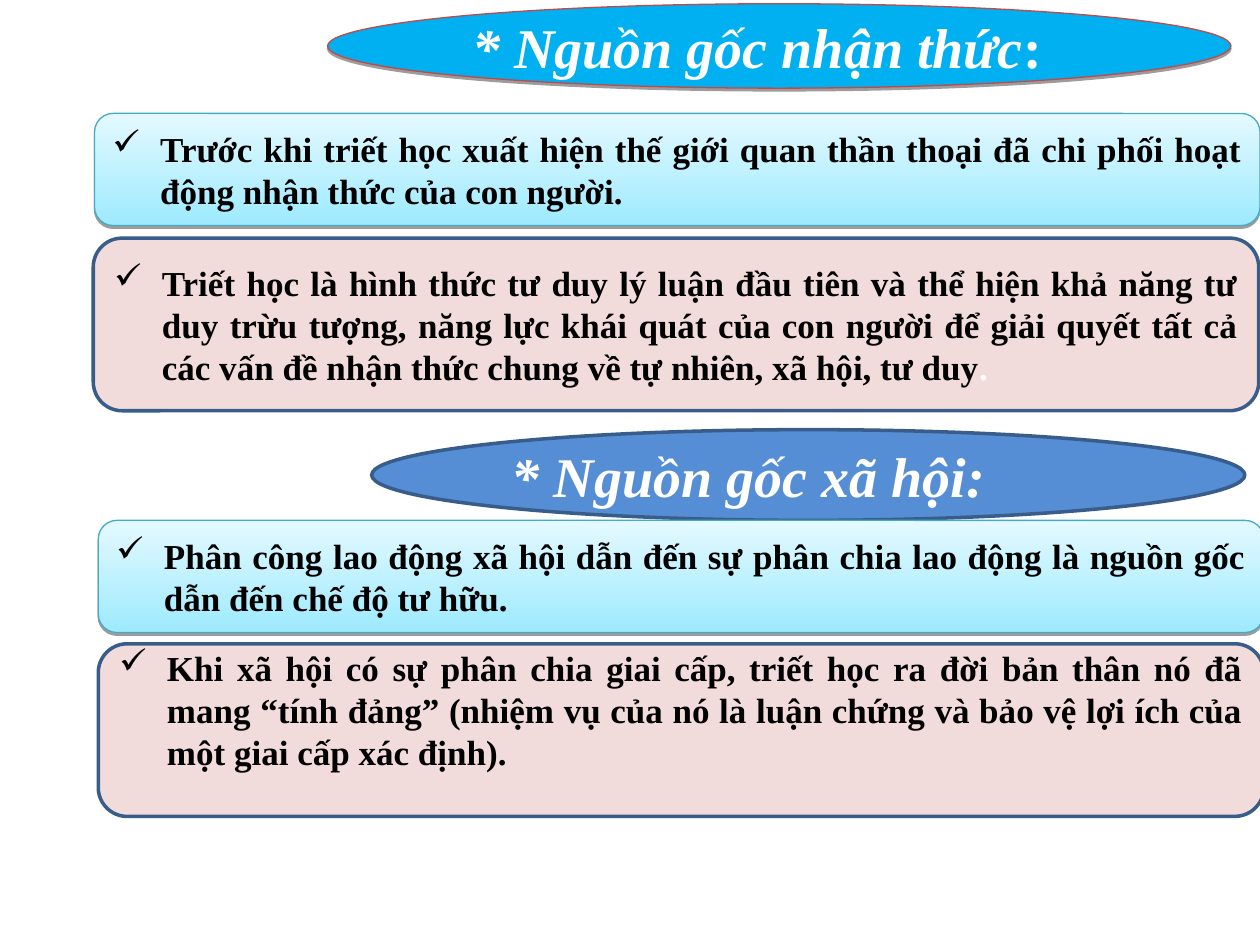
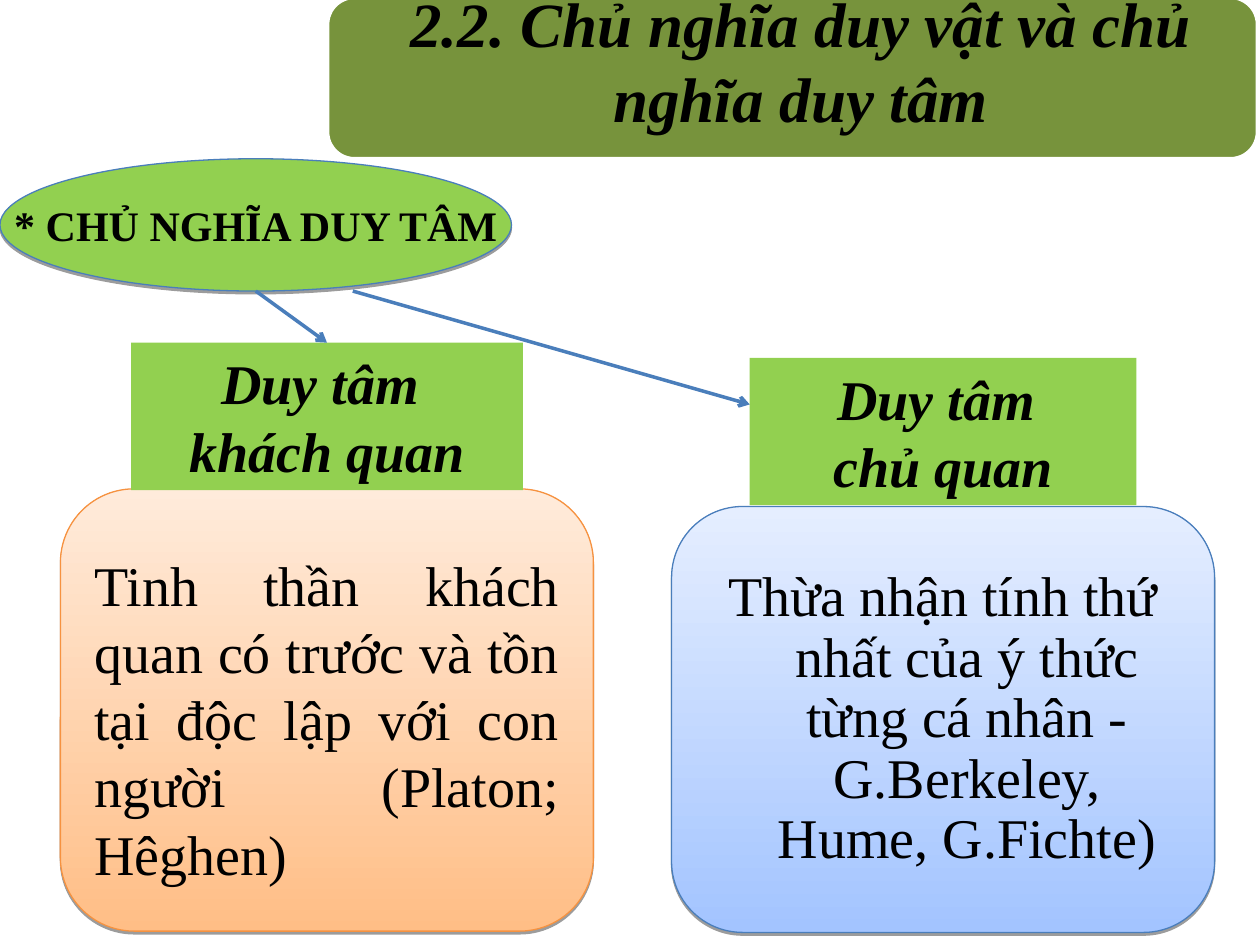
from lxml.etree import SubElement
from pptx import Presentation
from pptx.dml.color import RGBColor
from pptx.enum.shapes import MSO_CONNECTOR, MSO_SHAPE as Preset
from pptx.enum.text import MSO_ANCHOR as Anchor, MSO_AUTO_SIZE as AutoSize, PP_ALIGN as Align
from pptx.oxml import parse_xml
from pptx.oxml.ns import nsdecls, qn
from pptx.util import Inches, Pt

FONT = "Times New Roman"
BLACK, WHITE, GREEN = "000000", "FFFFFF", "92D050"
NAVY, BLUE = "385D8A", "4A7EBB"
rgb = RGBColor.from_string

FRAME = {"word_wrap": True, "auto_size": AutoSize.NONE, "vertical_anchor": Anchor.MIDDLE,
         "margin_left": Inches(0.1), "margin_right": Inches(0.1),
         "margin_top": Inches(0.05), "margin_bottom": Inches(0.05)}
SHADOW = (f'<a:effectLst {nsdecls("a")}><a:outerShdw blurRad="0" dist="20000" dir="5400000" '
          'rotWithShape="0"><a:srgbClr val="000000"><a:alpha val="38000"/></a:srgbClr>'
          '</a:outerShdw></a:effectLst>')


def add_box(slide, preset, place, fill, line=None, line_width=0.75, shadow=False):
    """Add a shape; a pair of fill colours makes a gradient from bottom to top."""
    box = slide.shapes.add_shape(preset, *map(Inches, place))
    if isinstance(fill, tuple):
        box.fill.gradient()
        box.fill.gradient_angle = 90
        for stop, colour in zip(box.fill.gradient_stops, fill):
            stop.color.rgb = rgb(colour)
    else:
        box.fill.solid()
        box.fill.fore_color.rgb = rgb(fill)
    if line:
        box.line.color.rgb = rgb(line)
        box.line.width = Pt(line_width)
    else:
        box.line.fill.background()
    box.shadow.inherit = False
    if shadow:
        properties = box.element.spPr
        properties.replace(properties.find(qn("a:effectLst")), parse_xml(SHADOW))
    return box


def write(shape, paragraphs, size, colour=BLACK, align=Align.CENTER, bold=False,
          italic=False, hanging=False, bullet=None, spacing=None, **frame_values):
    """Fill a shape with paragraphs, each a list of (text, font changes) runs."""
    frame = shape.text_frame
    for name, value in {**FRAME, **frame_values}.items():
        setattr(frame, name, value)
    for index, runs in enumerate(paragraphs):
        paragraph = frame.add_paragraph() if index else frame.paragraphs[0]
        paragraph.alignment = align
        paragraph.line_spacing = spacing
        properties = paragraph._p.get_or_add_pPr()
        if hanging:
            properties.set("marL", str(Inches(0.38)))
            properties.set("indent", str(-Inches(0.38)))
        if bullet:
            bullet_colour = SubElement(properties, qn("a:buClr"))
            SubElement(bullet_colour, qn("a:srgbClr"), val=BLACK)
            SubElement(properties, qn("a:buChar"), char=bullet)
        for text, changes in runs:
            run = paragraph.add_run()
            run.text = text
            look = {"name": FONT, "size": Pt(size), "bold": bold, "italic": italic,
                    "colour": colour, **changes}
            run.font.color.rgb = rgb(look.pop("colour"))
            for name, value in look.items():
                setattr(run.font, name, value)


deck = Presentation()
deck.slide_width, deck.slide_height = Inches(10), Inches(7.5)
TITLE_ONLY, BLANK = deck.slide_layouts[5], deck.slide_layouts[6]

# Slide 1: origins of philosophy
origins = deck.slides.add_slide(BLANK)

headings = [
    ((2.6, 0.03, 7.17, 0.67), {"fill": "00B0F0", "line": "BE4B48", "shadow": True},
     [("* Nguồn gốc nhận thức", {}), (":", {"italic": False})]),
    ((2.95, 3.41, 6.93, 0.72), {"fill": "558ED5", "line": NAVY, "line_width": 2},
     [("* Nguồn gốc xã hội:", {})]),
]
for place, look, runs in headings:
    heading = add_box(origins, Preset.OVAL, place, **look)
    write(heading, [runs], 32, WHITE, Align.LEFT, bold=True, italic=True)

CYAN_LOOK = {"fill": ("9EEAFF", "E4F9FF"), "line": "46AAC5", "shadow": True}
PINK_LOOK = {"fill": "F2DCDB", "line": NAVY, "line_width": 2}
points = [
    ((0.75, 0.9, 9.25, 0.89), CYAN_LOOK, 0.05,
     [("Trước khi triết học xuất hiện thế giới quan thần thoại đã chi phối hoạt động "
       "nhận thức của con người.", {})]),
    ((0.74, 1.89, 9.25, 1.37), PINK_LOOK, 0.05,
     [("Triết học là hình thức tư duy lý luận đầu tiên và thể hiện khả năng tư duy trừu "
       "tượng, năng lực khái quát của con người để giải quyết tất cả các vấn đề nhận thức "
       "chung về tự nhiên, xã hội, tư duy", {}), (".", {"colour": WHITE})]),
    ((0.78, 4.13, 9.25, 0.89), CYAN_LOOK, 0.05,
     [("Phân công lao động xã hội dẫn đến sự phân chia lao động là nguồn gốc dẫn đến chế "
       "độ tư hữu.", {})]),
    ((0.78, 5.11, 9.25, 1.37), PINK_LOOK, 0.38,
     [("Khi xã hội có sự phân chia giai cấp, triết học ra đời bản thân nó đã mang “tính "
       "đảng” (nhiệm vụ của nó là luận chứng và bảo vệ lợi ích của một giai cấp xác "
       "định).", {})]),
]
for place, look, bottom, runs in points:
    point = add_box(origins, Preset.ROUNDED_RECTANGLE, place, **look)
    write(point, [runs], 20, align=Align.JUSTIFY, bold=True, hanging=True, bullet="✓",
          margin_bottom=Inches(bottom))

# Slide 2: two kinds of idealism
idealism = deck.slides.add_slide(TITLE_ONLY)

banner = add_box(idealism, Preset.ROUNDED_RECTANGLE, (2.6, -0.02, 7.38, 1.28), "77933C", WHITE, 2)
title = idealism.shapes.title
title.left, title.top, title.width, title.height = map(Inches, (2.6, -0.1, 7.51, 1.15))
write(title, [[("2.2. Chủ nghĩa duy vật và chủ nghĩa duy tâm", {})]], 36, bold=True, italic=True,
      margin_left=Inches(0.24), margin_right=Inches(0.24), margin_top=0, margin_bottom=0)
banner.element.addnext(title.element)

root = add_box(idealism, Preset.OVAL, (0, 1.26, 4.06, 1.05), GREEN, BLUE, shadow=True)
write(root, [[("* CHỦ NGHĨA DUY TÂM", {})]], 24, bold=True, word_wrap=False)

branches = [
    ("khách quan", (1.04, 2.72, 3.11, 1.17), (0.48, 3.88, 4.23, 3.51),
     ("FFBE86", "FFEBDB"), "F69240",
     "Tinh thần khách quan có trước và tồn tại độc lập với con người (Platon; Hêghen)",
     {"align": Align.JUSTIFY, "margin_top": Inches(0.18)}),
    ("chủ quan", (5.95, 2.84, 3.07, 1.17), (5.33, 4.02, 4.31, 3.38),
     ("A3C4FF", "E5EEFF"), BLUE,
     "Thừa nhận tính thứ nhất của ý thức từng cá nhân - G.Berkeley, Hume, G.Fichte)",
     {"hanging": True, "spacing": 0.9}),
]
labels = []
for kind, label_place, view_place, fill, line, text, layout in branches:
    view = add_box(idealism, Preset.ROUNDED_RECTANGLE, view_place, fill, line, shadow=True)
    write(view, [[(text, {})]], 32, **layout)
    label = add_box(idealism, Preset.RECTANGLE, label_place, GREEN)
    write(label, [[("Duy tâm ", {})], [(kind, {})]], 32, bold=True, italic=True,
          vertical_anchor=Anchor.TOP)
    labels.append(label)

arrows = []
for ends in ((2.03, 2.31, 2.6, 2.72), (2.8, 2.31, 5.95, 3.21)):
    arrow = idealism.shapes.add_connector(MSO_CONNECTOR.STRAIGHT, *map(Inches, ends))
    arrow.line.color.rgb = rgb(BLUE)
    arrow.line.width = Pt(2)
    SubElement(arrow.line._get_or_add_ln(), qn("a:tailEnd"), type="arrow")
    SubElement(arrow.element.spPr, qn("a:effectLst"))
    arrows.append(arrow)
arrows[0].end_connect(labels[0], 0)

deck.save("out.pptx")
